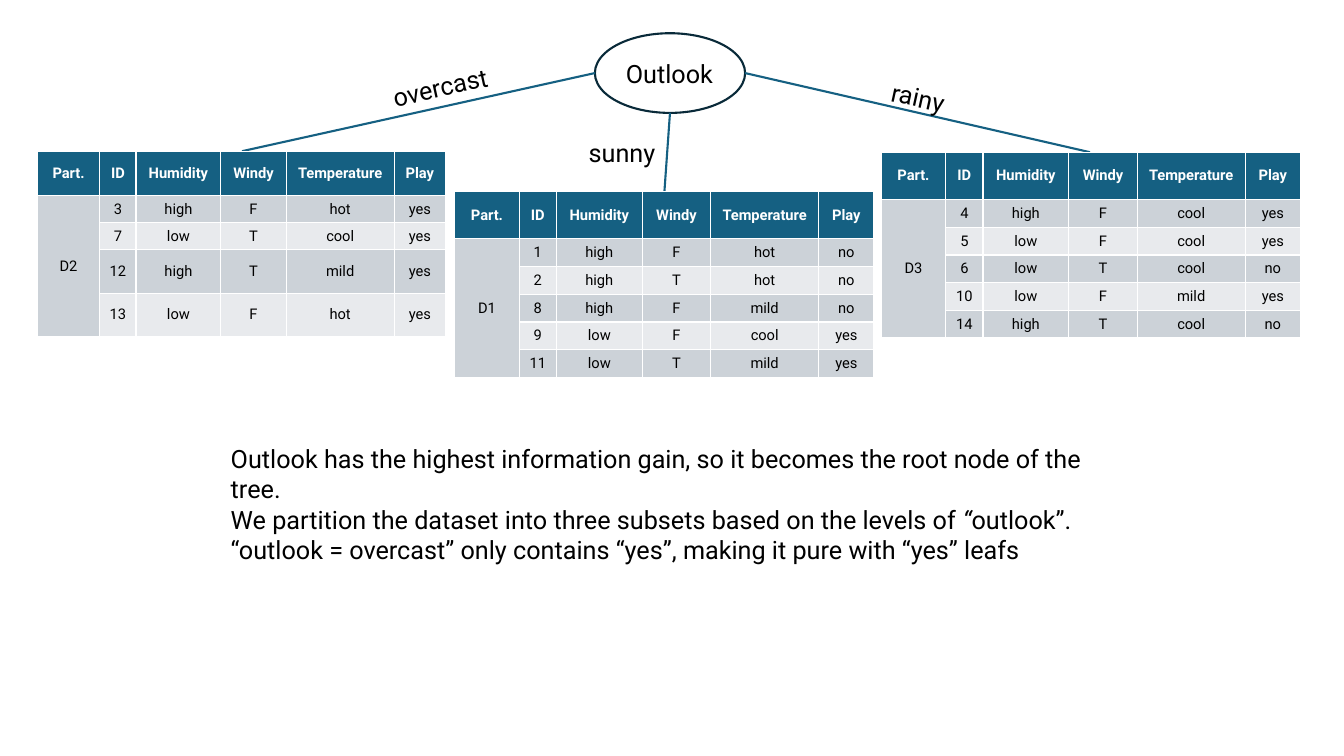
from lxml import etree
from pptx import Presentation
from pptx.dml.color import RGBColor
from pptx.enum import shapes, text
from pptx.oxml.ns import qn
from pptx.util import Inches, Pt

FONT = "Roboto"
BLACK = RGBColor(0x00, 0x00, 0x00)
WHITE = RGBColor(0xFF, 0xFF, 0xFF)
TEAL = RGBColor(0x15, 0x60, 0x82)
DARK_TEAL = RGBColor(0x09, 0x2A, 0x39)
BAND_DARK = RGBColor(0xCC, 0xD2, 0xD8)
BAND_LIGHT = RGBColor(0xE8, 0xEA, 0xED)

HEADINGS = ["Part.", "ID", "Humidity", "Windy", "Temperature", "Play"]
WIDE_COLUMNS = [0.64, 0.37, 0.85, 0.68, 1.07, 0.55]
WIDE_ROWS = [0.47] + [0.275] * 5
OVERCAST_COLUMNS = [0.62, 0.36, 0.84, 0.65, 1.07, 0.51]
OVERCAST_ROWS = [0.44, 0.27, 0.27, 0.43, 0.43]

OVERCAST_DAYS = ["3 high F hot yes", "7 low T cool yes", "12 high T mild yes", "13 low F hot yes"]
SUNNY_DAYS = ["1 high F hot no", "2 high T hot no", "8 high F mild no", "9 low F cool yes",
              "11 low T mild yes"]
RAINY_DAYS = ["4 high F cool yes", "5 low F cool yes", "6 low T cool no", "10 low F mild yes",
              "14 high T cool no"]


def style_font(font, size, color, bold=False):
    font.name = FONT
    font.size = Pt(size)
    font.color.rgb = color
    font.bold = bold


def add_text_box(slide, box, content=""):
    shape = slide.shapes.add_textbox(*map(Inches, box))
    frame = shape.text_frame
    frame.word_wrap = True
    frame.auto_size = text.MSO_AUTO_SIZE.SHAPE_TO_FIT_TEXT
    if content:
        frame.text = content
        style_font(frame.paragraphs[0].runs[0].font, 18, BLACK)
    return shape


def add_explanation(slide, box):
    frame = add_text_box(slide, box).text_frame
    reason = frame.paragraphs[0]
    reason.add_run().text = ("Outlook has the highest information gain, "
                             "so it becomes the root node of the tree.")
    reason.add_line_break()
    reason.add_run().text = "We partition the dataset into three subsets based on the levels of "
    opening_quote = reason.add_run()
    opening_quote.text = "“"
    opening_quote.font.italic = True
    reason.add_run().text = "outlook”."
    purity = frame.add_paragraph()
    purity.text = "“outlook = overcast” only contains “yes”, making it pure with “yes” leafs"
    for paragraph in frame.paragraphs:
        for run in paragraph.runs:
            style_font(run.font, 18, BLACK)


def add_root_node(slide, box):
    left, top, width, height = box
    node = slide.shapes.add_shape(shapes.MSO_SHAPE.OVAL, *map(Inches, box))
    node.shadow.inherit = False
    node.fill.background()
    node.line.color.rgb = DARK_TEAL
    node.line.width = Pt(1.5)
    add_text_box(slide, (left + 0.21, top + 0.2, width - 0.42, 0.4), "Outlook")


def add_branch(slide, start, end, label, label_box, rotation=0):
    points = map(Inches, (*start, *end))
    branch = slide.shapes.add_connector(shapes.MSO_CONNECTOR.STRAIGHT, *points)
    branch.line.color.rgb = TEAL
    branch.line.width = Pt(1.5)
    etree.SubElement(branch._element.spPr, qn("a:effectLst"))
    add_text_box(slide, label_box, label).rotation = rotation


def fill_cell(cell, content, fill, color, bold):
    cell.text = content
    cell.fill.solid()
    cell.fill.fore_color.rgb = fill
    cell.vertical_anchor = text.MSO_ANCHOR.MIDDLE
    cell.margin_left = cell.margin_right = Inches(0.05)
    cell.margin_top = cell.margin_bottom = Inches(0.04)
    paragraph = cell.text_frame.paragraphs[0]
    paragraph.alignment = text.PP_ALIGN.CENTER
    style_font(paragraph.font, 10.5, color, bold)
    for run in paragraph.runs:
        style_font(run.font, 10.5, color, bold)


def add_partition(slide, left, top, columns, rows, name, days):
    box = (left, top, sum(columns), sum(rows))
    table = slide.shapes.add_table(len(rows), len(columns), *map(Inches, box)).table
    for column, width in zip(table.columns, columns):
        column.width = Inches(width)
    for row, height in zip(table.rows, rows):
        row.height = Inches(height)
    for index, heading in enumerate(HEADINGS):
        fill_cell(table.cell(0, index), heading, TEAL, WHITE, True)
    for row, day in enumerate(days, 1):
        band = BAND_DARK if row % 2 else BAND_LIGHT
        for index, value in enumerate(day.split(), 1):
            fill_cell(table.cell(row, index), value, band, BLACK, False)
    table.cell(1, 0).merge(table.cell(len(days), 0))
    fill_cell(table.cell(1, 0), name, BAND_DARK, BLACK, False)


def add_tree_slide(presentation):
    slide = presentation.slides.add_slide(presentation.slide_layouts[6])
    add_explanation(slide, (2.19, 4.35, 8.95, 1.01))

    left, top, width, height = root = (5.9, 0.33, 1.49, 0.79)
    middle = top + height / 2
    add_root_node(slide, root)

    add_branch(slide, (left, middle), (2.4, 1.5), "overcast", (3.79, 0.66, 1.18, 0.4), 347.6)
    add_partition(slide, 0.37, 1.5, OVERCAST_COLUMNS, OVERCAST_ROWS, "D2", OVERCAST_DAYS)

    add_branch(slide, (left + width / 2, top + height), (6.59, 1.9), "sunny",
               (5.74, 1.31, 0.87, 0.4))
    add_partition(slide, 4.51, 1.9, WIDE_COLUMNS, WIDE_ROWS, "D1", SUNNY_DAYS)

    add_branch(slide, (left + width, middle), (10.81, 1.51), "rainy",
               (8.74, 0.78, 0.87, 0.4), 12.5)
    add_partition(slide, 8.74, 1.51, WIDE_COLUMNS, WIDE_ROWS, "D3", RAINY_DAYS)


def main():
    presentation = Presentation()
    presentation.slide_width = Inches(13.33)
    presentation.slide_height = Inches(7.5)
    add_tree_slide(presentation)
    presentation.save("out.pptx")


if __name__ == "__main__":
    main()
